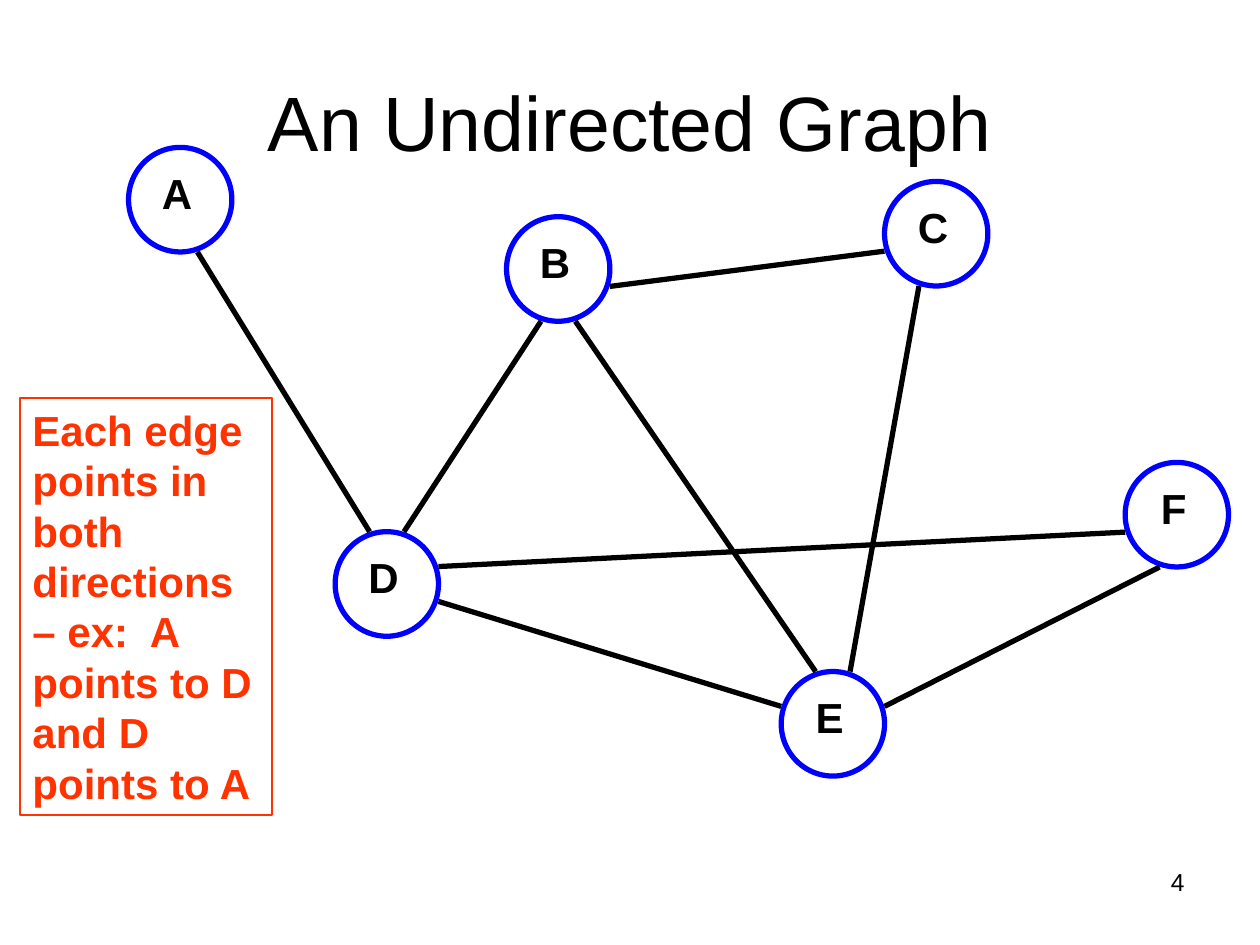
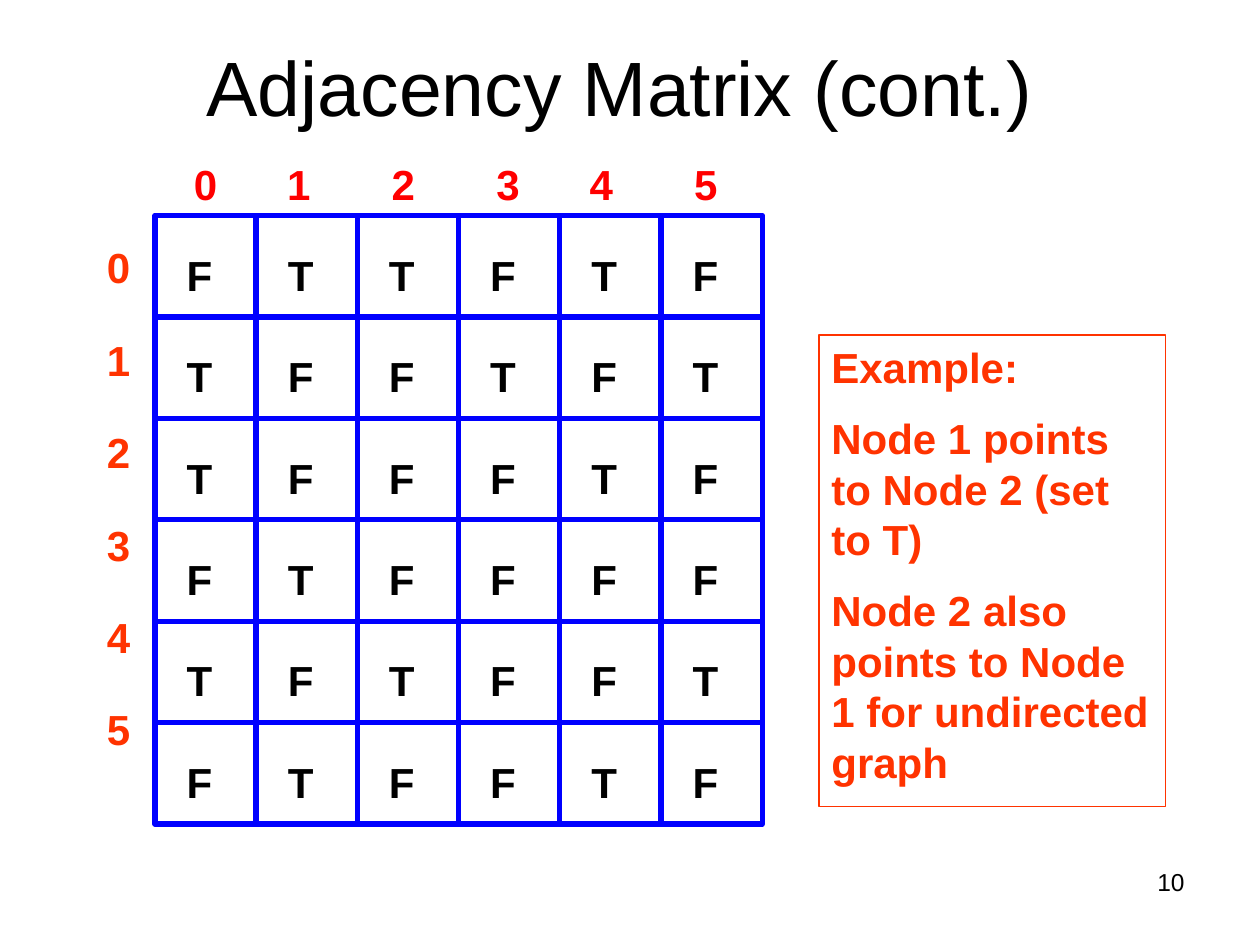
from lxml import etree
from pptx import Presentation
from pptx.dml.color import RGBColor
from pptx.enum.shapes import MSO_CONNECTOR, MSO_SHAPE
from pptx.enum.text import MSO_ANCHOR, PP_ALIGN
from pptx.oxml.ns import qn
from pptx.util import Inches, Pt

LEFT, CENTER, RIGHT = PP_ALIGN.LEFT, PP_ALIGN.CENTER, PP_ALIGN.RIGHT
TOP, MIDDLE = MSO_ANCHOR.TOP, MSO_ANCHOR.MIDDLE
RECTANGLE, OVAL = MSO_SHAPE.RECTANGLE, MSO_SHAPE.OVAL
STRAIGHT = MSO_CONNECTOR.STRAIGHT

FONT = "Arial"
BLACK, WHITE, BLUE = "000000", "FFFFFF", "0000FF"
ORANGE, RED = "FF3300", "FF0000"
BODY_SIZE = 24
LINE_PITCH = Pt(28.8)
STROKE = Pt(3)

NODE_WIDTH, NODE_HEIGHT = 0.82, 0.83
NODES = {
    "A": (1.02, 1.17),
    "D": (2.66, 4.22),
    "B": (4.02, 1.72),
    "C": (7.02, 1.44),
    "E": (6.2, 5.33),
    "F": (8.93, 3.67),
}
EDGES_IN_THIRDS = [
    (("A", 2, 3), ("D", 1, 0)),
    (("D", 2, 0), ("B", 1, 3)),
    (("B", 2, 3), ("E", 1, 0)),
    (("E", 0, 1), ("D", 3, 2)),
    (("E", 2, 0), ("C", 1, 3)),
    (("B", 3, 2), ("C", 0, 2)),
    (("D", 3, 1), ("F", 0, 2)),
    (("E", 3, 1), ("F", 1, 3)),
]

MATRIX = ["FTTFTF", "TFFTFT", "TFFFTF", "FTFFFF", "TFTFFT", "FTFFTF"]
MATRIX_LEFT, MATRIX_TOP = 1.23, 1.71
MATRIX_WIDTH, MATRIX_HEIGHT = 4.82, 4.83
HEADING_TABS = [0.74, 1.57, 2.4, 3.14, 3.97]


def color(value):
    return RGBColor.from_string(value)


def box(left, top, width, height):
    return [Inches(length) for length in (left, top, width, height)]


def format_text(text_frame, size, text_color, bold=False, align=LEFT, pitch=None):
    for paragraph in text_frame.paragraphs:
        paragraph.alignment = align
        if pitch:
            paragraph.line_spacing = pitch
        for run in paragraph.runs:
            run.font.name = FONT
            run.font.size = Pt(size)
            run.font.bold = bold
            run.font.color.rgb = color(text_color)


def add_text(slide, area, text, size, text_color=BLACK, anchor=TOP, **style):
    text_frame = slide.shapes.add_textbox(*box(*area)).text_frame
    text_frame.word_wrap = True
    text_frame.vertical_anchor = anchor
    text_frame.text = text
    format_text(text_frame, size, text_color, **style)
    return text_frame


def add_outlined_shape(slide, kind, area, line_color, line_width):
    shape = slide.shapes.add_shape(kind, *box(*area))
    shape.shadow.inherit = False
    shape.fill.background()
    shape.line.color.rgb = color(line_color)
    shape.line.width = line_width
    return shape


def add_slide(presentation, title, title_area, number):
    slide = presentation.slides.add_slide(presentation.slide_layouts[6])
    add_text(slide, (7.17, 6.83, 2.33, 0.52), number, 14, align=RIGHT)
    add_text(slide, title_area, title, 44, anchor=MIDDLE, align=CENTER)
    return slide


def add_note(slide, area, text):
    note = add_outlined_shape(slide, RECTANGLE, area, ORANGE, Pt(0.75))
    text_frame = note.text_frame
    text_frame.word_wrap = True
    text_frame.vertical_anchor = TOP
    text_frame.text = text
    format_text(text_frame, BODY_SIZE, ORANGE, bold=True, pitch=LINE_PITCH)
    for paragraph in text_frame.paragraphs[1:]:
        paragraph.space_before = Pt(BODY_SIZE / 2)


def add_letter_shape(slide, kind, area, letter, top=0, right=0, bottom=0):
    shape = add_outlined_shape(slide, kind, area, BLUE, STROKE)
    shape.fill.solid()
    shape.fill.fore_color.rgb = color(WHITE)
    text_frame = shape.text_frame
    text_frame.margin_left = 0
    text_frame.margin_top = Inches(top)
    text_frame.margin_right = Inches(right)
    text_frame.margin_bottom = Inches(bottom)
    text_frame.vertical_anchor = MIDDLE
    text_frame.text = letter
    format_text(text_frame, BODY_SIZE, BLACK, bold=True, align=CENTER)


def edge_point(name, x_thirds, y_thirds):
    left, top = NODES[name]
    x = left + NODE_WIDTH * x_thirds / 3
    y = top + NODE_HEIGHT * y_thirds / 3
    return Inches(x), Inches(y)


def add_edge(slide, start, end):
    edge = slide.shapes.add_connector(STRAIGHT, *edge_point(*start), *edge_point(*end))
    edge.line.color.rgb = color(BLACK)
    edge.line.width = STROKE
    etree.SubElement(edge._element.spPr, qn("a:effectLst"))


def add_matrix(slide):
    width = MATRIX_WIDTH / len(MATRIX[0])
    height = MATRIX_HEIGHT / len(MATRIX)
    for row, values in enumerate(MATRIX):
        for column, value in enumerate(values):
            area = (MATRIX_LEFT + column * width, MATRIX_TOP + row * height, width, height)
            add_letter_shape(slide, RECTANGLE, area, value, top=0.13, right=0.1)


def add_matrix_labels(slide):
    indices = [str(index) for index in range(len(MATRIX))]
    rows = add_text(slide, (0.75, 1.87, 0.71, 4.49), "\n".join(indices),
                    BODY_SIZE, ORANGE, bold=True, pitch=LINE_PITCH)
    for paragraph in rows.paragraphs:
        paragraph.space_after = Pt(BODY_SIZE)
    columns = add_text(slide, (1.44, 1.21, 4.98, 0.66), "\t".join(indices),
                       BODY_SIZE, RED, bold=True)
    properties = columns.paragraphs[0]._p.get_or_add_pPr()
    tabs = etree.SubElement(properties, qn("a:tabLst"))
    for position in HEADING_TABS:
        etree.SubElement(tabs, qn("a:tab"), pos=str(Inches(position)), algn="l")


def build_graph_slide(presentation):
    slide = add_slide(presentation, "An Undirected Graph", (0.5, 0.33, 9, 1.25), "4")
    for name, position in NODES.items():
        area = (*position, NODE_WIDTH, NODE_HEIGHT)
        add_letter_shape(slide, OVAL, area, name, right=0.05, bottom=0.11)
    for start, end in EDGES_IN_THIRDS:
        add_edge(slide, start, end)
    add_note(slide, (0.16, 3.16, 2, 3.31),
             "Each edge points in both directions – ex:  A points to D and D points to A")


def build_matrix_slide(presentation):
    slide = add_slide(presentation, "Adjacency Matrix (cont.)", (0.42, 0.18, 9, 1), "10")
    add_note(slide, (6.5, 2.66, 2.75, 3.74),
             "Example:\nNode 1 points to Node 2 (set to T)\n"
             "Node 2 also points to Node 1 for undirected graph")
    add_matrix(slide)
    add_matrix_labels(slide)


def main():
    presentation = Presentation()
    presentation.slide_width = Inches(10)
    presentation.slide_height = Inches(7.5)
    build_graph_slide(presentation)
    build_matrix_slide(presentation)
    presentation.save("out.pptx")


if __name__ == "__main__":
    main()
